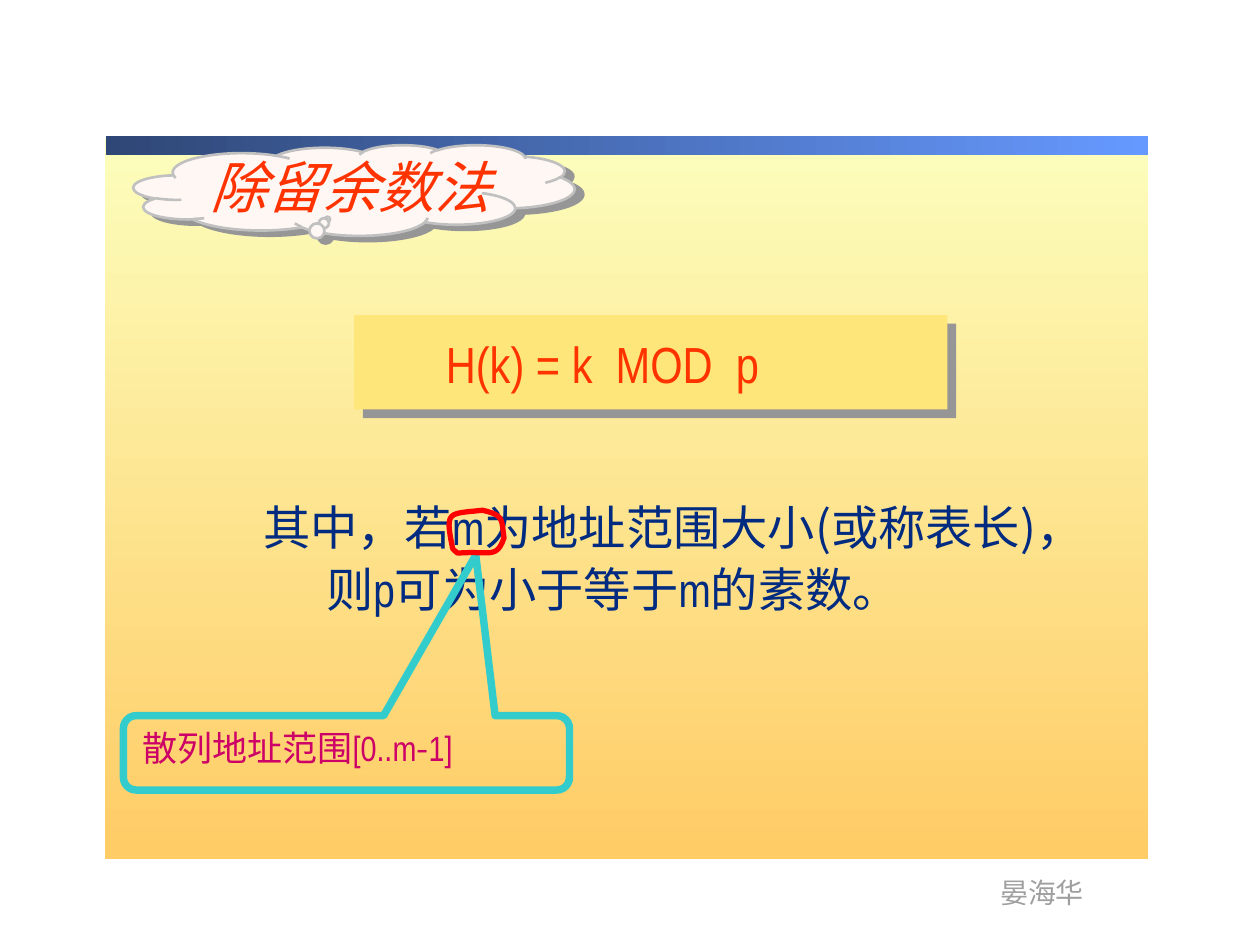
from dataclasses import dataclass
from typing import Optional

from lxml.etree import SubElement
from pptx import Presentation
from pptx.dml.color import RGBColor
from pptx.enum.shapes import MSO_SHAPE
from pptx.enum.text import MSO_AUTO_SIZE
from pptx.oxml.ns import qn
from pptx.util import Inches, Pt

LATIN, CJK = "Arial Narrow", "Noto Sans CJK SC"
COLORS = {
    "sky_top": "FCFEBC", "sky_bottom": "FFCC66", "bar_left": "2F4776", "bar_right": "6699FF",
    "footer": "9F9F9F", "formula_box": "FFE67B", "shadow": "969696", "accent": "FF3300",
    "body": "002B80", "cloud": "FEF7F4", "cloud_line": "C0C0C0", "callout": "33CCCC",
    "range": "CC0066", "ring": "FF0000",
}


@dataclass
class Box:
    x: float
    y: float
    w: float
    h: float

    def emu(self) -> tuple:
        return tuple(Inches(v) for v in (self.x, self.y, self.w, self.h))


@dataclass
class Label:
    box: Box
    paragraphs: list
    size: float
    color: str
    italic: bool = False
    wrap: bool = True
    shadow: bool = False
    spacing: Optional[float] = None
    indents: tuple = (0,)


@dataclass
class Panel:
    kind: MSO_SHAPE
    box: Box
    fill: Optional[str] = None
    gradient: Optional[tuple] = None
    angle: float = 0
    line: Optional[tuple] = None
    adj: tuple = ()
    shadow: Optional[tuple] = None


def rgb(name: str) -> RGBColor:
    return RGBColor.from_string(COLORS[name])


def add_shadow(parent, name: str, dist: float, angle: float) -> None:
    shadow = SubElement(parent, qn("a:outerShdw"), dist=str(Pt(dist)),
                        dir=str(angle * 60000), algn="ctr", rotWithShape="0")
    SubElement(shadow, qn("a:srgbClr"), val=COLORS[name])


def set_line(sp, line: Optional[tuple]) -> None:
    if line:
        sp.line.color.rgb = rgb(line[0])
        sp.line.width = Pt(line[1])
    else:
        sp.line.fill.background()


def add_panel(s, panel: Panel) -> None:
    sp = s.shapes.add_shape(panel.kind, *panel.box.emu())
    sp.shadow.inherit = False
    for i, value in enumerate(panel.adj):
        sp.adjustments[i] = value
    if panel.gradient:
        sp.fill.gradient()
        sp.fill.gradient_angle = panel.angle
        for stop, name in zip(sp.fill.gradient_stops, panel.gradient):
            stop.color.rgb = rgb(name)
    elif panel.fill:
        sp.fill.solid()
        sp.fill.fore_color.rgb = rgb(panel.fill)
    else:
        sp.fill.background()
    set_line(sp, panel.line)
    if panel.shadow:
        add_shadow(sp._element.spPr.find(qn("a:effectLst")), "shadow", *panel.shadow)


def add_label(s, label: Label) -> None:
    tf = s.shapes.add_textbox(*label.box.emu()).text_frame
    tf.word_wrap = label.wrap
    tf.auto_size = MSO_AUTO_SIZE.SHAPE_TO_FIT_TEXT
    for i, runs in enumerate(label.paragraphs):
        p = tf.add_paragraph() if i else tf.paragraphs[0]
        p.line_spacing = label.spacing
        p.font.size = Pt(label.size)
        p.font.color.rgb = rgb(label.color)
        p.font.italic = label.italic
        if label.indents[i]:
            p._p.get_or_add_pPr().set("marL", str(Inches(label.indents[i])))
        for text, font in runs:
            r = p.add_run()
            r.text = text
            rPr = r._r.get_or_add_rPr()
            if label.shadow:
                add_shadow(SubElement(rPr, qn("a:effectLst")), "shadow", 2, 45)
            r.font.name = font
            SubElement(rPr, qn("a:ea"), typeface=CJK)


def curve(start: tuple, segments: list, steps: int = 12) -> list:
    """Return points along a chain of cubic Bezier segments."""
    points = [start]
    for a, b, c in segments:
        o = points[-1]
        for t in (k / steps for k in range(1, steps + 1)):
            u = 1 - t
            points.append(tuple(u**3 * o[i] + 3 * u * u * t * a[i] + 3 * u * t * t * b[i]
                                + t**3 * c[i] for i in (0, 1)))
    return points


def add_ring(s, points: list) -> None:
    fb = s.shapes.build_freeform(Inches(points[0][0]), Inches(points[0][1]))
    fb.add_line_segments([(Inches(x), Inches(y)) for x, y in points[1:]], close=True)
    sp = fb.convert_to_shape()
    sp.shadow.inherit = False
    sp.fill.background()
    set_line(sp, ("ring", 3))


ITEMS = [
    Panel(MSO_SHAPE.RECTANGLE, Box(0.83, 1.1, 8.28, 5.72),
          gradient=("sky_top", "sky_bottom"), angle=270),
    Panel(MSO_SHAPE.RECTANGLE, Box(0.84, 1.08, 8.27, 0.15), gradient=("bar_left", "bar_right")),
    Label(Box(7.84, 6.9, 0.87, 0.37), [[("晏海华", LATIN)]], 16, "footer", wrap=False),
    Panel(MSO_SHAPE.RECTANGLE, Box(2.81, 2.5, 4.71, 0.75), "formula_box", shadow=(7.1, 45)),
    Label(Box(3.44, 2.59, 3.62, 0.58), [[("H(k) = k  MOD  p", LATIN)]], 29, "accent", shadow=True),
    Label(Box(1.99, 3.86, 7.42, 1.09),
          [[("其中，若", CJK), ("m", LATIN), ("为地址范围大小(或称表长)，", CJK)],
           [("则", CJK), ("p可", LATIN), ("为小于等于", CJK), ("m", LATIN), ("的素数。", CJK)]],
          27, "body", spacing=1.1, indents=(0, 0.5)),
    Panel(MSO_SHAPE.CLOUD_CALLOUT, Box(1.06, 1.15, 3.5, 0.72), "cloud",
          line=("cloud_line", 1.5), adj=(-0.06, 0.32), shadow=(5.8, 31)),
    Label(Box(1.57, 1.16, 3.08, 0.63), [[("除留余数法", CJK)]], 32, "accent",
          italic=True, shadow=True),
    Panel(MSO_SHAPE.ROUNDED_RECTANGULAR_CALLOUT, Box(0.98, 5.68, 3.54, 0.59),
          line=("callout", 4.25), adj=(0.29, -2.66, 0.17)),
    Label(Box(1.03, 5.72, 3.86, 0.44),
          [[("散列地址范围[0..m", LATIN), ("-", CJK), ("1]", LATIN)]], 20, "range"),
]
RING = curve((3.83, 4.05), [
    ((3.56, 4.08), (3.53, 4.05), (3.59, 4.34)),
    ((3.59, 4.36), (3.61, 4.37), (3.63, 4.39)),
    ((3.89, 4.37), (3.94, 4.44), (4, 4.27)),
    ((3.98, 4.12), (4, 4.09), (3.83, 4.05)),
])


def main() -> None:
    prs = Presentation()
    prs.slide_width, prs.slide_height = Inches(10), Inches(7.5)
    s = prs.slides.add_slide(prs.slide_layouts[6])
    for item in ITEMS:
        (add_panel if isinstance(item, Panel) else add_label)(s, item)
    add_ring(s, RING)
    prs.save("out.pptx")


if __name__ == "__main__":
    main()
